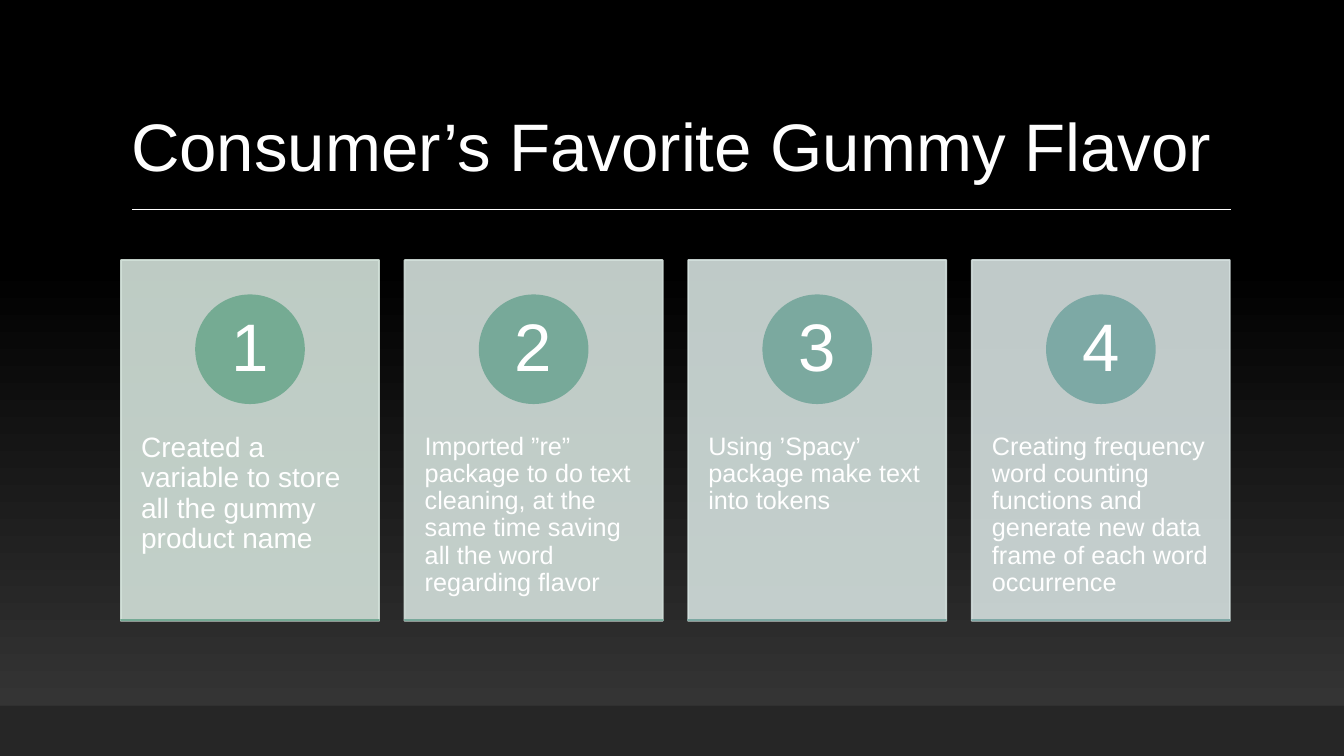
import dataclasses

import lxml.etree
import pptx
import pptx.dml.color
import pptx.enum.shapes
import pptx.enum.text
import pptx.oxml.ns
import pptx.util

Inches = pptx.util.Inches
Preset = pptx.enum.shapes.MSO_SHAPE
Anchor = pptx.enum.text.MSO_ANCHOR
Align = pptx.enum.text.PP_ALIGN


@dataclasses.dataclass(frozen=True)
class Theme:
    font: str = "Arial"
    title_size: int = 48
    number_size: int = 48
    first_body_size: int = 20
    body_size: int = 18
    line_spacing: float = 0.9
    outline_width: float = 1.25
    rule_width: float = 1
    card_opacity: int = 90
    title: str = "FEFEFE"
    text: str = "FFFFFF"
    glow: str = "3A3A3A"
    night: str = "000000"
    footer: str = "262626"


@dataclasses.dataclass(frozen=True)
class Step:
    text: str
    size: int
    card: str
    circle: str
    accent: str


def color(value):
    return pptx.dml.color.RGBColor.from_string(value)


class SlideBuilder:
    def __init__(self, slide, theme):
        self.slide = slide
        self.theme = theme

    def gradient(self, fill):
        fill.gradient()
        fill.gradient_angle = 90
        stops = ((0, self.theme.glow), (0.65, self.theme.night))
        for stop, (position, value) in zip(fill.gradient_stops, stops):
            stop.position = position
            stop.color.rgb = color(value)

    def format_text(self, shape, text, size, value, margins, anchor, alignment):
        frame = shape.text_frame
        frame.text = text
        frame.word_wrap = True
        frame.auto_size = pptx.enum.text.MSO_AUTO_SIZE.NONE
        frame.vertical_anchor = anchor
        horizontal, vertical = margins
        frame.margin_left = frame.margin_right = Inches(horizontal)
        frame.margin_top = frame.margin_bottom = Inches(vertical)
        paragraph = frame.paragraphs[0]
        paragraph.alignment = alignment
        paragraph.line_spacing = self.theme.line_spacing
        font = paragraph.runs[0].font
        font.name = self.theme.font
        font.size = pptx.util.Pt(size)
        font.color.rgb = color(value)

    def backdrop(self, width, height):
        self.gradient(self.slide.background.fill)
        shape = self.slide.shapes.add_shape(Preset.RECTANGLE, 0, 0, width, height)
        shape.shadow.inherit = False
        shape.line.fill.background()
        self.gradient(shape.fill)
        self.slide.shapes.title.element.addprevious(shape.element)

    def title(self, text, box):
        title = self.slide.shapes.title
        title.left, title.top, title.width, title.height = map(Inches, box)
        self.format_text(title, text, self.theme.title_size, self.theme.title,
                         (0.1, 0.05), Anchor.BOTTOM, Align.LEFT)

    def rule(self, left, right, top):
        line = self.slide.shapes.add_connector(
            pptx.enum.shapes.MSO_CONNECTOR.STRAIGHT,
            Inches(left), Inches(top), Inches(right), Inches(top))
        line.line.color.rgb = color(self.theme.title)
        line.line.width = pptx.util.Pt(self.theme.rule_width)
        properties = line.element.spPr
        lxml.etree.SubElement(properties, pptx.oxml.ns.qn("a:effectLst"))

    def shape(self, shapes, preset, box, value, outlined=True, opacity=100):
        shape = shapes.add_shape(preset, *map(Inches, box))
        shape.shadow.inherit = False
        shape.fill.solid()
        shape.fill.fore_color.rgb = color(value)
        if outlined:
            shape.line.color.rgb = color(value)
            shape.line.width = pptx.util.Pt(self.theme.outline_width)
        else:
            shape.line.fill.background()
        if opacity < 100:
            for paint in shape.element.spPr.iter(pptx.oxml.ns.qn("a:srgbClr")):
                alpha = lxml.etree.SubElement(paint, pptx.oxml.ns.qn("a:alpha"))
                alpha.set("val", str(opacity * 1000))

    def text(self, shapes, text, box, size, margins, anchor, alignment):
        textbox = shapes.add_textbox(*map(Inches, box))
        self.format_text(textbox, text, size, self.theme.text,
                         margins, anchor, alignment)

    def card(self, shapes, number, step, left):
        width, top, height = 2.56, 2.58, 3.58
        circle, label = 1.07, 0.76
        circle_left = left + (width - circle) / 2
        label_left = left + (width - label) / 2
        self.shape(shapes, Preset.RECTANGLE, (left, top, width, height),
                   step.card, opacity=self.theme.card_opacity)
        self.text(shapes, step.text, (left, 3.94, width, 2.15), step.size,
                  (0.2, 0.36), Anchor.TOP, Align.LEFT)
        self.shape(shapes, Preset.OVAL, (circle_left, 2.93, circle, circle),
                   step.circle)
        self.text(shapes, str(number), (label_left, 3.09, label, label),
                  self.theme.number_size, (0.08, 0.01), Anchor.MIDDLE, Align.CENTER)
        self.shape(shapes, Preset.RECTANGLE, (left, 6.15, width, 0), step.accent)


def main():
    theme = Theme()
    steps = (
        Step("Created a variable to store all the gummy product name",
             theme.first_body_size, "D3E2DA", "75AB93", "75AA95"),
        Step("Imported ”re” package to do text cleaning, at the same time "
             "saving all the word regarding flavor",
             theme.body_size, "D4E1DC", "77A999", "79A99B"),
        Step("Using ’Spacy’ package make text into tokens",
             theme.body_size, "D4E1DE", "7BA99F", "7CA8A2"),
        Step("Creating frequency word counting functions and generate new "
             "data frame of each word occurrence",
             theme.body_size, "D5E0DF", "7DA9A5", "7FA8A6"),
    )
    presentation = pptx.Presentation()
    presentation.slide_width = Inches(13.33)
    presentation.slide_height = Inches(7.5)
    slide = presentation.slides.add_slide(presentation.slide_layouts[5])

    builder = SlideBuilder(slide, theme)
    builder.backdrop(presentation.slide_width, presentation.slide_height)
    builder.title("Consumer’s Favorite Gummy Flavor", (1.2, 0.31, 11, 1.59))
    builder.rule(1.31, 12.21, 2.08)
    builder.shape(slide.shapes, Preset.RECTANGLE, (0, 7, 13.33, 0.5),
                  theme.footer, outlined=False)
    cards = slide.shapes.add_group_shape().shapes
    first_left, pitch = 1.2, 2.813
    for index, step in enumerate(steps):
        builder.card(cards, index + 1, step, first_left + index * pitch)
    presentation.save("out.pptx")


if __name__ == "__main__":
    main()
